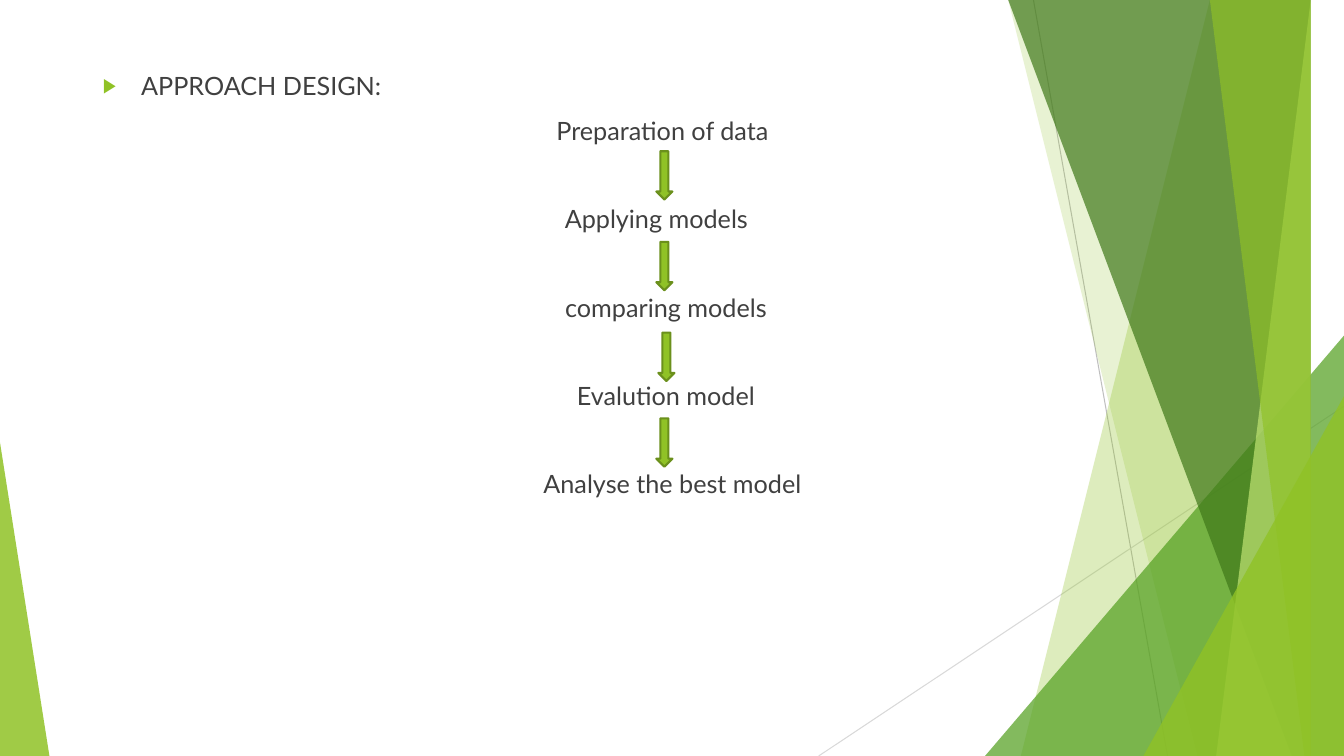
import pptx
import pptx.util
import pptx.dml.color
import pptx.enum.shapes
import pptx.enum.text
import pptx.oxml.ns
import lxml.etree

Inches = pptx.util.Inches
Pt = pptx.util.Pt
SHAPES = pptx.enum.shapes.MSO_SHAPE
THEME = {
    "lime": "90C226", "pale": "C0E474", "green": "54A021", "forest": "3F7819",
    "outline": "6B901C", "ink": "404040", "grey": "BFBFBF", "silver": "D9D9D9",
    "font": "Lato", "size": Pt(18),
}


def add_xml(parent, tag, **attributes):
    return lxml.etree.SubElement(parent, pptx.oxml.ns.qn(tag), attributes)


def paint(shape, color, opacity=100):
    shape.shadow.inherit = False
    shape.fill.solid()
    shape.fill.fore_color.rgb = pptx.dml.color.RGBColor.from_string(THEME[color])
    if opacity < 100:
        tint = shape.fill._xPr.find(".//" + pptx.oxml.ns.qn("a:srgbClr"))
        add_xml(tint, "a:alpha", val=str(opacity * 1000))
    shape.line.fill.background()


deck = pptx.Presentation()
deck.slide_width = Inches(13.33)
deck.slide_height = Inches(7.5)
slide = deck.slides.add_slide(deck.slide_layouts[1])
title = slide.shapes.title._element
title.getparent().remove(title)

rays = [(10.25, 0, 11.58, 7.5, "grey"), (13.33, 4.03, 8.12, 7.5, "silver")]
for x1, y1, x2, y2, color in rays:
    ray = slide.shapes.add_connector(
        pptx.enum.shapes.MSO_CONNECTOR.STRAIGHT,
        Inches(x1), Inches(y1), Inches(x2), Inches(y2))
    ray.line.color.rgb = pptx.dml.color.RGBColor.from_string(THEME[color])
    ray.line.width = Pt(0.75)
    add_xml(ray._element.spPr, "a:effectLst")

facets = [
    ("band", (12.28, 10.04), "lime", 30),
    ("band", (10.5, 11.83), "lime", 20),
    ("triangle", (9.77, 3.33, 3.56, 4.17, 1), "green", 72),
    ("band", (10.21, 12.91), "forest", 70),
    ("band", (13.03, 11.92), "pale", 70),
    ("band", (11.96, 13.18), "lime", 65),
    ("triangle", (11.34, 3.93, 1.99, 3.57, 1), "lime", 80),
    ("triangle", (0, 4.39, 0.49, 3.11, 0), "lime", 85),
]
for kind, geometry, color, opacity in facets:
    if kind == "band":
        top_x, bottom_x = geometry
        outline = slide.shapes.build_freeform(top_x, -0.01, scale=Inches(1))
        outline.add_line_segments([(13.33, -0.01), (13.33, 7.5), (bottom_x, 7.5)])
        facet = outline.convert_to_shape()
    else:
        *box, apex = geometry
        facet = slide.shapes.add_shape(
            SHAPES.ISOSCELES_TRIANGLE, *[Inches(length) for length in box])
        facet.adjustments[0] = apex
    paint(facet, color, opacity)

approach = slide.placeholders[1]
approach.left, approach.top = Inches(0.92), Inches(0.65)
approach.width, approach.height = Inches(11.5), Inches(6.11)
steps = [
    ("Preparation of data", 0.2),
    ("Applying models", 0.32),
    ("comparing models", 0.13),
    ("Evalution model", 0.13),
    ("Analyse the best model", 0),
]
approach.text_frame.text = "\n".join(
    ["APPROACH DESIGN:"] + [step for step, inset in steps])
approach.text_frame.auto_size = pptx.enum.text.MSO_AUTO_SIZE.NONE
heading, *stages = approach.text_frame.paragraphs

for paragraph in approach.text_frame.paragraphs:
    paragraph.space_before = Pt(10)
    font = paragraph.runs[0].font
    font.name = THEME["font"]
    font.size = THEME["size"]
    color = "lime" if paragraph is heading else "ink"
    font.color.rgb = pptx.dml.color.RGBColor.from_string(THEME[color])

bullet = heading._p.get_or_add_pPr()
bullet.set("marL", str(Inches(0.38)))
bullet.set("indent", str(Inches(-0.38)))
add_xml(add_xml(bullet, "a:buClr"), "a:srgbClr", val=THEME["lime"])
add_xml(bullet, "a:buSzPct", val="80000")
add_xml(bullet, "a:buChar", char="▶")

for stage, (step, inset) in zip(stages, steps):
    stage.alignment = pptx.enum.text.PP_ALIGN.CENTER
    if stage is not stages[0]:
        stage.space_before = Pt(41.6)
    layout = stage._p.get_or_add_pPr()
    layout.set("marL", "0")
    layout.set("marR", str(Inches(inset)))
    layout.set("indent", "0")
    add_xml(layout, "a:buNone")

for left, top in [(6.51, 1.5), (6.51, 2.4), (6.53, 3.3), (6.51, 4.15)]:
    arrow = slide.shapes.add_shape(
        SHAPES.DOWN_ARROW, Inches(left), Inches(top), Inches(0.16), Inches(0.48))
    paint(arrow, "lime")
    arrow.line.color.rgb = pptx.dml.color.RGBColor.from_string(THEME["outline"])
    arrow.line.width = Pt(1.5)

deck.save("out.pptx")
